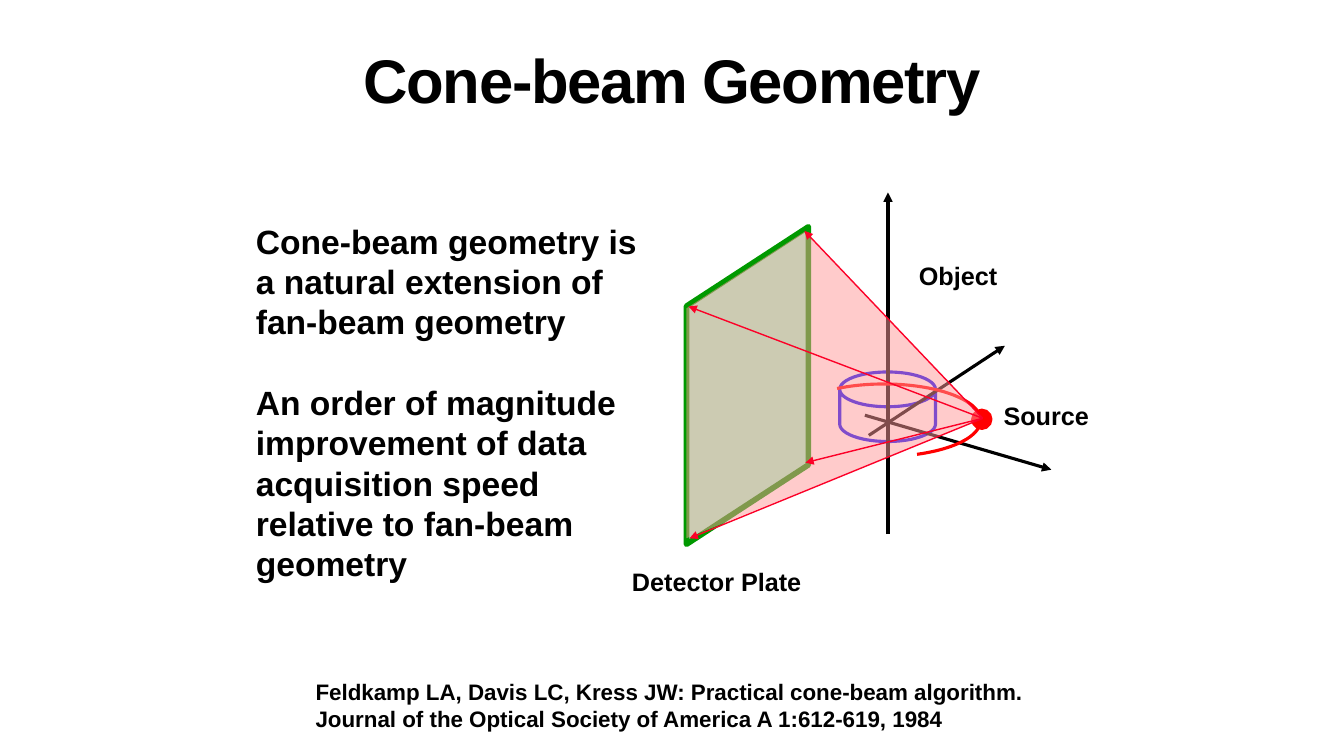
import math
from dataclasses import dataclass

import pptx
import pptx.dml.color
import pptx.enum.shapes
import pptx.enum.text
import pptx.oxml
import pptx.oxml.ns
import pptx.util
from lxml import etree

Pt = pptx.util.Pt
qn = pptx.oxml.ns.qn
MSO = pptx.enum.shapes.MSO_SHAPE
CENTER = pptx.enum.text.PP_ALIGN.CENTER
LEFT = pptx.enum.text.PP_ALIGN.LEFT
MIDDLE = pptx.enum.text.MSO_ANCHOR.MIDDLE
TOP = pptx.enum.text.MSO_ANCHOR.TOP


@dataclass
class Arrow:
    start: tuple[float, float]
    end: tuple[float, float]


@dataclass
class Label:
    text: str
    box: tuple[float, float, float, float]
    wrap: bool


AXES = [
    Arrow((634.3, 381.6), (634.3, 137.5)),
    Arrow((617.8, 296.6), (751, 335.5)),
    Arrow((620.6, 311), (717.8, 247)),
]
SOURCE = (702, 298.8)
RAYS = [
    Arrow(SOURCE, (575.3, 330.5)),
    Arrow(SOURCE, (491.8, 218.9)),
    Arrow(SOURCE, (492.5, 384.5)),
    Arrow(SOURCE, (574.6, 164.9)),
]
CONE = [SOURCE, (574.6, 165.6), (490.3, 220.3), (490.3, 384.5)]
LABELS = [
    Label("Detector Plate", (424.8, 404.6, 174.2, 21.6), True),
    Label("Source", (716.4, 285.8, 61.9, 21.6), False),
    Label("Object", (655.9, 185.8, 56.9, 21.6), False),
]
ORBIT = [
    (631.4 + 69.1 * math.cos(math.radians(a)), 300.2 + 25.9 * math.sin(math.radians(a)))
    for a in range(70, -120, -3)
]


def rgb(color: str) -> pptx.dml.color.RGBColor:
    return pptx.dml.color.RGBColor.from_string(color)


def style(sp, fill: str = "", line: str = "", width: float = 2.25, alpha: int = 100) -> None:
    sp.shadow.inherit = False
    if fill:
        sp.fill.solid()
        sp.fill.fore_color.rgb = rgb(fill)
        if alpha < 100:
            clr = sp._element.spPr.find(".//" + qn("a:srgbClr"))
            etree.SubElement(clr, qn("a:alpha")).set("val", str(alpha * 1000))
    else:
        sp.fill.background()
    if line:
        sp.line.color.rgb = rgb(line)
        sp.line.width = Pt(width)
    else:
        sp.line.fill.background()


def add_shape(s, kind, box: tuple, **fmt):
    sp = s.shapes.add_shape(kind, *map(Pt, box))
    style(sp, **fmt)
    return sp


def add_outline(s, points: list, close: bool, **fmt) -> None:
    first, *rest = [(Pt(x), Pt(y)) for x, y in points]
    fb = s.shapes.build_freeform(*first)
    fb.add_line_segments(rest, close=close)
    style(fb.convert_to_shape(), **fmt)


def add_arrow(s, arrow: Arrow, color: str, width: float) -> None:
    c = s.shapes.add_connector(
        pptx.enum.shapes.MSO_CONNECTOR.STRAIGHT, *map(Pt, arrow.start + arrow.end)
    )
    c.line.color.rgb = rgb(color)
    c.line.width = Pt(width)
    spPr = c._element.spPr
    etree.SubElement(spPr.find(qn("a:ln")), qn("a:tailEnd")).set("type", "triangle")
    etree.SubElement(spPr, qn("a:effectLst"))


def add_text(s, text: str, box: tuple, size: float, align=LEFT, anchor=TOP,
             inset: tuple = (0, 0), wrap: bool = True, gap: float = 0, spacing: int = 0) -> None:
    tf = s.shapes.add_textbox(*map(Pt, box)).text_frame
    tf.word_wrap = wrap
    tf.vertical_anchor = anchor
    tf.margin_left = tf.margin_right = Pt(inset[0])
    tf.margin_top = tf.margin_bottom = Pt(inset[1])
    for i, line in enumerate(text.split("\n")):
        p = tf.add_paragraph() if i else tf.paragraphs[0]
        p.alignment = align
        p.line_spacing = Pt(size * 1.2)
        p.space_before = Pt(gap if i else 0)
        r = p.add_run()
        r.text = line
        r.font.name = "Arial"
        r.font.size = Pt(size)
        r.font.bold = True
        r.font.color.rgb = rgb("000000")
        if spacing:
            r._r.get_or_add_rPr().set("spc", str(spacing * 100))


def main() -> None:
    prs = pptx.Presentation()
    prs.slide_width, prs.slide_height = Pt(960), Pt(540)
    s = prs.slides.add_slide(prs.slide_layouts[6])

    add_text(s, "Cone-beam Geometry", (0, 0, 960, 112.3), 44,
             align=CENTER, anchor=MIDDLE, spacing=-1)

    can = add_shape(s, MSO.CAN, (599.8, 265.7, 68.4, 49.7), line="0000FF")
    can.adjustments[0] = 0.558
    for axis in AXES:
        add_arrow(s, axis, "000000", 2.25)

    detector = add_shape(s, MSO.PARALLELOGRAM, (420.5, 231.8, 226.8, 87.1),
                         fill="99FFCC", line="009900", width=4)
    detector.adjustments[0] = 0.651
    detector.rotation = 90
    detector._element.spPr.find(qn("a:xfrm")).set("flipV", "1")

    add_text(s, "Cone-beam geometry is a natural extension of fan-beam geometry\n"
             "An order of magnitude improvement of data acquisition speed "
             "relative to fan-beam geometry",
             (175.7, 154.1, 290.2, 269.3), 24, inset=(7.2, 3.6), gap=28.8)
    for label in LABELS:
        add_text(s, label.text, label.box, 18, align=CENTER, wrap=label.wrap)

    add_outline(s, ORBIT, False, line="FF0000")
    add_shape(s, MSO.OVAL, (694.8, 293, 13, 13), fill="FF0000", line="FF0000")
    add_outline(s, CONE, True, fill="FF9999", alpha=50)
    for ray in RAYS:
        add_arrow(s, ray, "FC0128", 1)

    add_text(s, "Feldkamp LA, Davis LC, Kress JW: Practical cone-beam algorithm.\n"
             "Journal of the Optical Society of America A 1:612-619, 1984",
             (225.4, 484.6, 609.1, 38.9), 16)
    prs.save("out.pptx")


if __name__ == "__main__":
    main()
